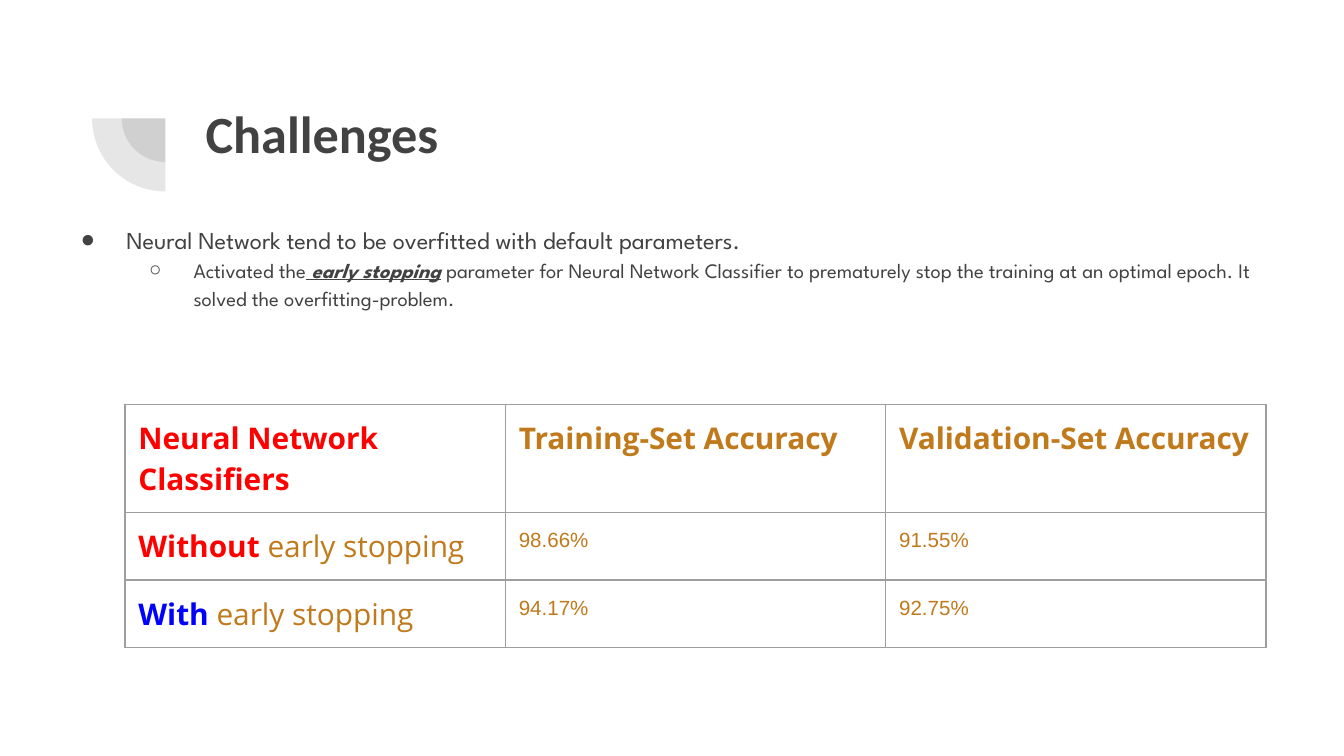
from lxml import etree
from pptx import Presentation
from pptx import util as u
from pptx.dml.color import RGBColor
from pptx.enum import shapes, text
from pptx.oxml.ns import qn

GREY, RED, BLUE, GOLD, LINE = "424242", "FF0000", "0000FF", "C0791B", "9E9E9E"
W = 10
H = W * 9 / 16

TITLE = "Challenges"
# Each bullet: mark, size, left margin, hanging indent, runs of (text, stressed)
BULLETS = [
    ("●", 13, 0.5, 0.34,
     [("Neural Network tend to be overfitted with default parameters.", False)]),
    ("○", 11, 1, 0.33,
     [("Activated the", False),
      (" early stopping", True),
      (" parameter for Neural Network Classifier to prematurely stop the training"
       " at an optimal epoch. It solved the overfitting-problem.", False)]),
]
# Each cell: runs of (text, colour, bold)
ROWS = [
    [[("Neural Network Classifiers", RED, True)],
     [("Training-Set Accuracy", GOLD, True)],
     [("Validation-Set Accuracy", GOLD, True)]],
    [[("Without ", RED, True), ("early stopping", GOLD, False)],
     [("98.66%", GOLD, False)],
     [("91.55%", GOLD, False)]],
    [[("With ", BLUE, True), ("early stopping", GOLD, False)],
     [("94.17%", GOLD, False)],
     [("92.75%", GOLD, False)]],
]
COL_W, ROW_H = 2.83, [0.73, 0.47, 0.47]
PIE_CENTRE, PIE_SIZES = (1.23, 0.88), [0.65, 1.09]


def rgb(value):
    return RGBColor.from_string(value)


def add_run(p, words, size, font, color, bold=False):
    r = p.add_run()
    r.text = words
    f = r.font
    f.size, f.name, f.bold = u.Pt(size), font, bold
    f.color.rgb = rgb(color)
    return r


def place(sp, left, top, width, height):
    """Move a placeholder and give it plain top-anchored text."""
    sp.left, sp.top = u.Inches(left), u.Inches(top)
    sp.width, sp.height = u.Inches(width), u.Inches(height)
    tf = sp.text_frame
    tf.margin_left = tf.margin_right = tf.margin_top = tf.margin_bottom = u.Inches(0.1)
    tf.vertical_anchor = text.MSO_ANCHOR.TOP
    tf.auto_size = text.MSO_AUTO_SIZE.NONE
    tf.word_wrap = True
    return tf


def add_color(parent, color):
    return etree.SubElement(parent, qn("a:srgbClr"), val=color)


def set_bullet(p, mark, margin, hang):
    pPr = p._p.get_or_add_pPr()
    pPr.set("marL", str(u.Inches(margin)))
    pPr.set("indent", str(-u.Inches(hang)))
    add_color(etree.SubElement(pPr, qn("a:buClr")), GREY)
    etree.SubElement(pPr, qn("a:buChar"), char=mark)


def set_borders(cell):
    tcPr = cell._tc.get_or_add_tcPr()
    for side in ("lnL", "lnR", "lnT", "lnB"):
        ln = etree.SubElement(tcPr, qn("a:" + side), w=str(u.Pt(0.75)))
        add_color(etree.SubElement(ln, qn("a:solidFill")), LINE)


def add_pie(s, size):
    cx, cy = PIE_CENTRE
    sp = s.shapes.add_shape(shapes.MSO_SHAPE.PIE, u.Inches(cx - size / 2),
                            u.Inches(cy - size / 2), u.Inches(size), u.Inches(size))
    sp.adjustments[0], sp.adjustments[1] = 108, 162
    sp.rotation = 270
    sp.shadow.inherit = False
    sp.line.fill.background()
    sp.fill.solid()
    sp.fill.fore_color.rgb = rgb(GREY)
    color = sp.fill._xPr.find(".//" + qn("a:srgbClr"))
    etree.SubElement(color, qn("a:alpha"), val="13000")


def add_accuracy_table(s):
    frame = s.shapes.add_table(len(ROWS), len(ROWS[0]), u.Inches(0.93), u.Inches(3.01),
                               u.Inches(COL_W * len(ROWS[0])), u.Inches(sum(ROW_H)))
    table = frame.table
    table.first_row = table.horz_banding = False
    for col in table.columns:
        col.width = u.Inches(COL_W)
    for i, row in enumerate(ROWS):
        table.rows[i].height = u.Inches(ROW_H[i])
        for j, runs in enumerate(row):
            cell = table.cell(i, j)
            cell.margin_left = cell.margin_right = u.Inches(0.1)
            cell.margin_top = cell.margin_bottom = u.Inches(0.1)
            set_borders(cell)
            cell.fill.background()
            p = cell.text_frame.paragraphs[0]
            is_value = i > 0 and j > 0
            size, font = (11, "Arial") if is_value else (16, "Open Sans")
            if is_value:
                p.line_spacing = 1.15
            for words, color, bold in runs:
                add_run(p, words, size, font, color, bold)


def main():
    prs = Presentation()
    prs.slide_width, prs.slide_height = u.Inches(W), u.Inches(H)
    s = prs.slides.add_slide(prs.slide_layouts[1])

    for size in PIE_SIZES:
        add_pie(s, size)

    p = place(s.shapes.title, 1.43, 0.65, 7.69, 1.09).paragraphs[0]
    p.alignment = text.PP_ALIGN.LEFT
    add_run(p, TITLE, 28, "Calibri", GREY, True)

    tf = place(s.placeholders[1], 0.34, 1.54, 9.32, 3.67)
    for level, (mark, size, margin, hang, runs) in enumerate(BULLETS):
        p = tf.add_paragraph() if level else tf.paragraphs[0]
        p.level = level
        p.line_spacing, p.space_before = 1.15, u.Pt(0)
        set_bullet(p, mark, margin, hang)
        for words, stressed in runs:
            r = add_run(p, words, size, "League Spartan", GREY, stressed)
            r.font.italic = r.font.underline = stressed

    add_accuracy_table(s)
    prs.save("out.pptx")


if __name__ == "__main__":
    main()
